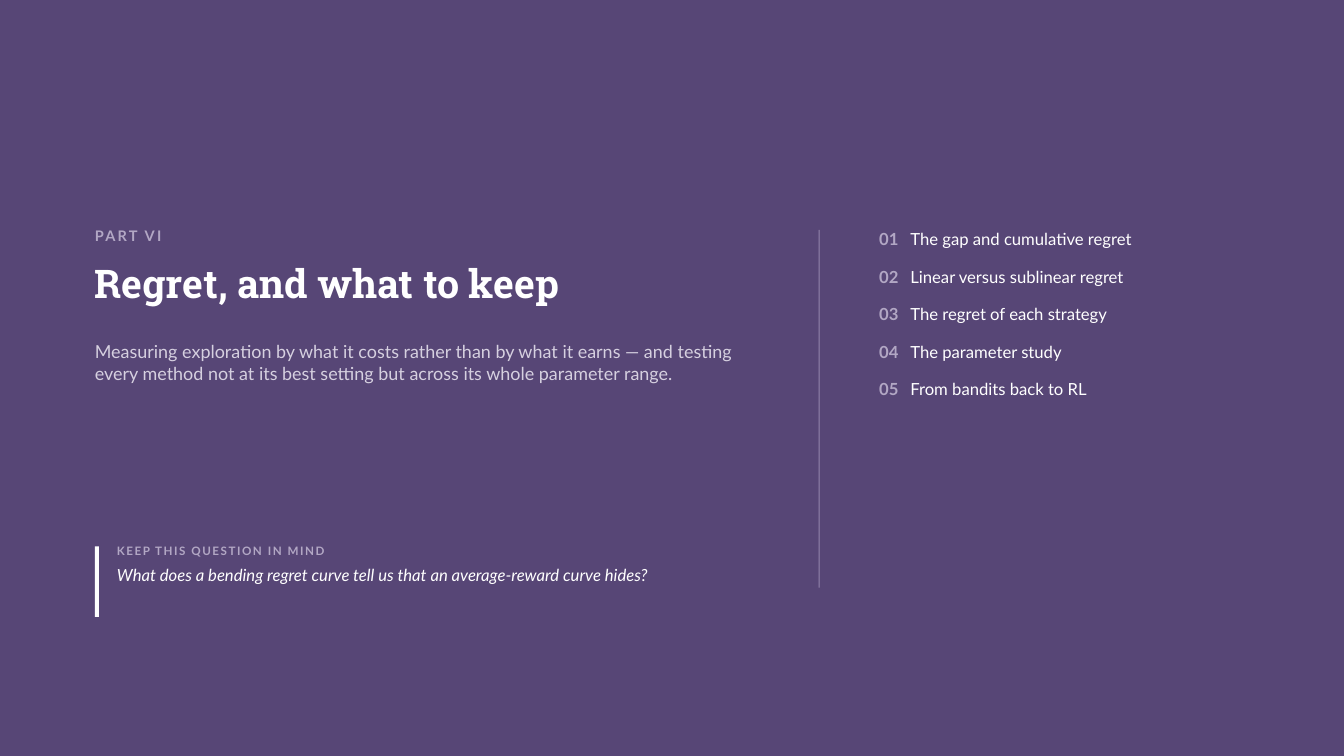
from lxml.etree import SubElement
from pptx import Presentation
from pptx.dml.color import RGBColor
from pptx.enum.shapes import MSO_SHAPE as Shape
from pptx.enum.text import MSO_ANCHOR as Anchor, MSO_AUTO_SIZE as AutoSize, PP_ALIGN as Align
from pptx.oxml.ns import qn
from pptx.util import Inches, Pt

COLORS = {
    "ground": "574676",
    "white": "FFFFFF",
    "label": "B2A7C4",
    "summary": "D6D0E0",
    "divider": "9486AC",
}
TOPICS = [
    "The gap and cumulative regret",
    "Linear versus sublinear regret",
    "The regret of each strategy",
    "The parameter study",
    "From bandits back to RL",
]

# Grid: left column, agenda column and their shared top
LEFT, AGENDA, TOP = 0.94, 8.72, 2.28
QUESTION_TOP = 5.42
COLUMN_HEIGHT = 3.55
NUMBER_WIDTH = 0.31


def set_frame(box, left, top, width, height):
    box.left, box.top = Inches(left), Inches(top)
    box.width, box.height = Inches(width), Inches(height)
    frame = box.text_frame
    frame.word_wrap = True
    frame.auto_size = AutoSize.NONE
    frame.vertical_anchor = Anchor.TOP
    frame.margin_left = frame.margin_right = frame.margin_top = frame.margin_bottom = 0
    return frame


def style(paragraph, size, leading, color, bold=False, face="Lato", spacing=0, before=0):
    paragraph.alignment = Align.LEFT
    paragraph.line_spacing = Pt(leading)
    paragraph.space_before = Pt(before)
    font = paragraph.font
    font.name, font.size, font.bold = face, Pt(size), bold
    font.color.rgb = RGBColor.from_string(COLORS[color])
    if spacing:
        paragraph._p.pPr.find(qn("a:defRPr")).set("spc", str(round(spacing * 100)))


prs = Presentation()
prs.slide_width, prs.slide_height = Inches(13.33), Inches(7.5)
slide = prs.slides.add_slide(prs.slide_layouts[5])
shapes = slide.shapes
slide.background.fill.solid()
slide.background.fill.fore_color.rgb = RGBColor.from_string(COLORS["ground"])

# Title
heading = set_frame(shapes.title, LEFT, 2.62, 6.9, 0.5).paragraphs[0]
heading.text = "Regret, and what to keep"
style(heading, 28.2, 29.9, "white", bold=True, face="Roboto Slab")

# Part label
part = set_frame(shapes.add_textbox(0, 0, 0, 0), LEFT, TOP, 3, 0.26).paragraphs[0]
part.text = "PART VI"
style(part, 10.4, 10.4, "label", bold=True, spacing=1.6)

# Summary
summary = set_frame(shapes.add_textbox(0, 0, 0, 0), LEFT, 3.36, 6.5, 0.72).paragraphs[0]
summary.text = (
    "Measuring exploration by what it costs rather than by what it earns — and testing "
    "every method not at its best setting but across its whole parameter range."
)
style(summary, 12.8, 16.4, "summary")

# Guiding question
question_frame = set_frame(shapes.add_textbox(0, 0, 0, 0), LEFT + 0.22, QUESTION_TOP, 6.3, 0.74)
prompt = question_frame.paragraphs[0]
prompt.text = "KEEP THIS QUESTION IN MIND"
style(prompt, 8.3, 8.3, "label", bold=True, spacing=1.1)
question = question_frame.add_paragraph()
question.text = "What does a bending regret curve tell us that an average-reward curve hides?"
style(question, 11.9, 14, "white", before=5)
question.font.italic = True

# Accent bar beside the question and divider between the columns
for left, top, width, height, color in [
    (LEFT, QUESTION_TOP, 0.04, 0.7, "white"),
    (8.12, TOP, 0.01, COLUMN_HEIGHT, "divider"),
]:
    rule = shapes.add_shape(
        Shape.RECTANGLE, Inches(left), Inches(top), Inches(width), Inches(height)
    )
    rule.shadow.inherit = False
    rule.fill.solid()
    rule.fill.fore_color.rgb = RGBColor.from_string(COLORS[color])
    rule.line.fill.background()

# Agenda: number, tab, topic
agenda = set_frame(shapes.add_textbox(0, 0, 0, 0), AGENDA, TOP, 3.7, COLUMN_HEIGHT)
for number, topic in enumerate(TOPICS, 1):
    entry = agenda.paragraphs[0] if number == 1 else agenda.add_paragraph()
    tabs = SubElement(entry._p.get_or_add_pPr(), qn("a:tabLst"))
    SubElement(tabs, qn("a:tab"), pos=str(Inches(NUMBER_WIDTH)), algn="l")
    style(entry, 11.9, 13.8, "white", before=13 if number > 1 else 0)
    index = entry.add_run()
    index.text = f"{number:02}\t"
    index.font.bold = True
    index.font.color.rgb = RGBColor.from_string(COLORS["label"])
    entry.add_run().text = topic

prs.save("out.pptx")
